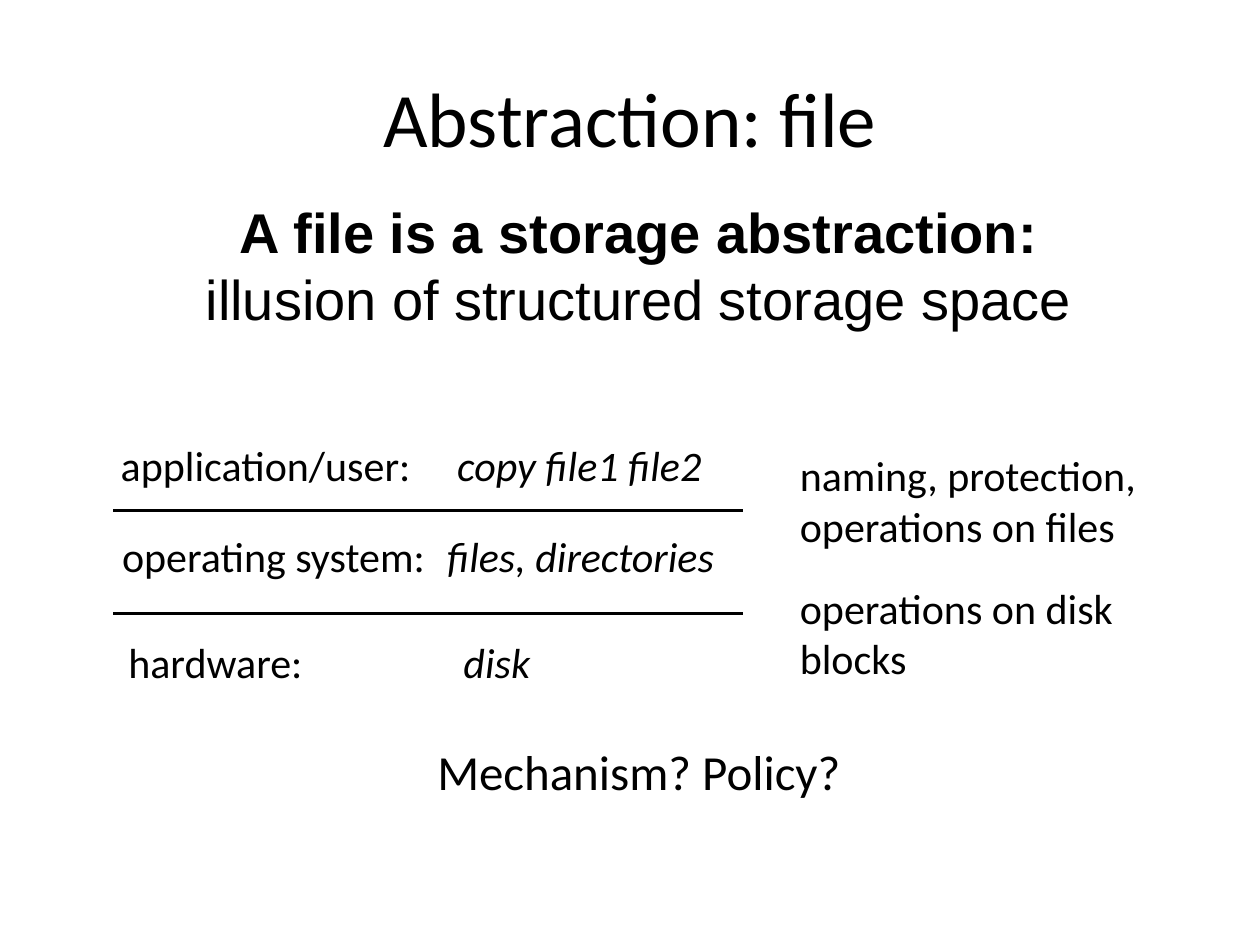
import pptx
import pptx.util
import pptx.dml.color
import pptx.enum.shapes
import pptx.enum.text
import pptx.oxml.ns
import lxml.etree

Inches = pptx.util.Inches
Pt = pptx.util.Pt
ALIGN = pptx.enum.text.PP_ALIGN
ANCHOR = pptx.enum.text.MSO_ANCHOR
BLACK = "000000"


def color(value):
    return pptx.dml.color.RGBColor.from_string(value)


def add_text(page, left, top, width, height, lines, size, align=ALIGN.LEFT):
    box = page.shapes.add_textbox(Inches(left), Inches(top), Inches(width), Inches(height))
    frame = box.text_frame
    frame.word_wrap = True
    frame.text = "\n".join(lines)
    for para in frame.paragraphs:
        para.alignment = align
        for span in para.runs:
            span.font.name = "Calibri"
            span.font.size = Pt(size)
            span.font.color.rgb = color(BLACK)
    return frame


deck = pptx.Presentation()
deck.slide_width = Inches(10)
deck.slide_height = Inches(7.5)
page = deck.slides.add_slide(deck.slide_layouts[6])

title = add_text(page, 0.5, 0.3, 9, 1.25, ["Abstraction: file"], 44, ALIGN.CENTER)
title.vertical_anchor = ANCHOR.MIDDLE

summary = add_text(page, 0.5, 1.52, 9.14, 4.88, [
    "A file is a storage abstraction:",
    "illusion of structured storage space",
    "Mechanism? Policy?",
], 28, ALIGN.CENTER)
for para in summary.paragraphs[:2]:
    para.runs[0].font.name = "Arial"
    para.runs[0].font.size = Pt(32)
summary.paragraphs[0].runs[0].font.bold = True
summary.paragraphs[2].space_before = Pt(234)

for divider_y in (4.05, 4.87):
    divider = page.shapes.add_connector(
        pptx.enum.shapes.MSO_CONNECTOR.STRAIGHT,
        Inches(0.9), Inches(divider_y), Inches(5.9), Inches(divider_y))
    divider.line.color.rgb = color(BLACK)
    divider.line.width = Pt(2)
    lxml.etree.SubElement(divider._element.spPr, pptx.oxml.ns.qn("a:effectLst"))

layers = [
    (0.86, 3.44, "application/user:", "copy file1 file2", 2.67),
    (0.87, 4.16, "operating system:", "files, directories", 2.58),
    (0.92, 5, "hardware:", "disk", 2.66),
]
for left, top, layer, example, tab in layers:
    frame = add_text(page, left, top, 5.01, 0.5, [layer + "\t"], 24)
    para = frame.paragraphs[0]
    tabs = lxml.etree.SubElement(para._p.get_or_add_pPr(), pptx.oxml.ns.qn("a:tabLst"))
    lxml.etree.SubElement(tabs, pptx.oxml.ns.qn("a:tab"), pos=str(Inches(tab)), algn="l")
    span = para.add_run()
    span.text = example
    span.font.name = "Calibri"
    span.font.size = Pt(24)
    span.font.italic = True
    span.font.color.rgb = color(BLACK)

add_text(page, 6.25, 3.52, 3.33, 0.91, ["naming, protection,", "operations on files"], 24)
add_text(page, 6.25, 4.57, 3.33, 0.91, ["operations on disk", "blocks"], 24)

deck.save("out.pptx")
